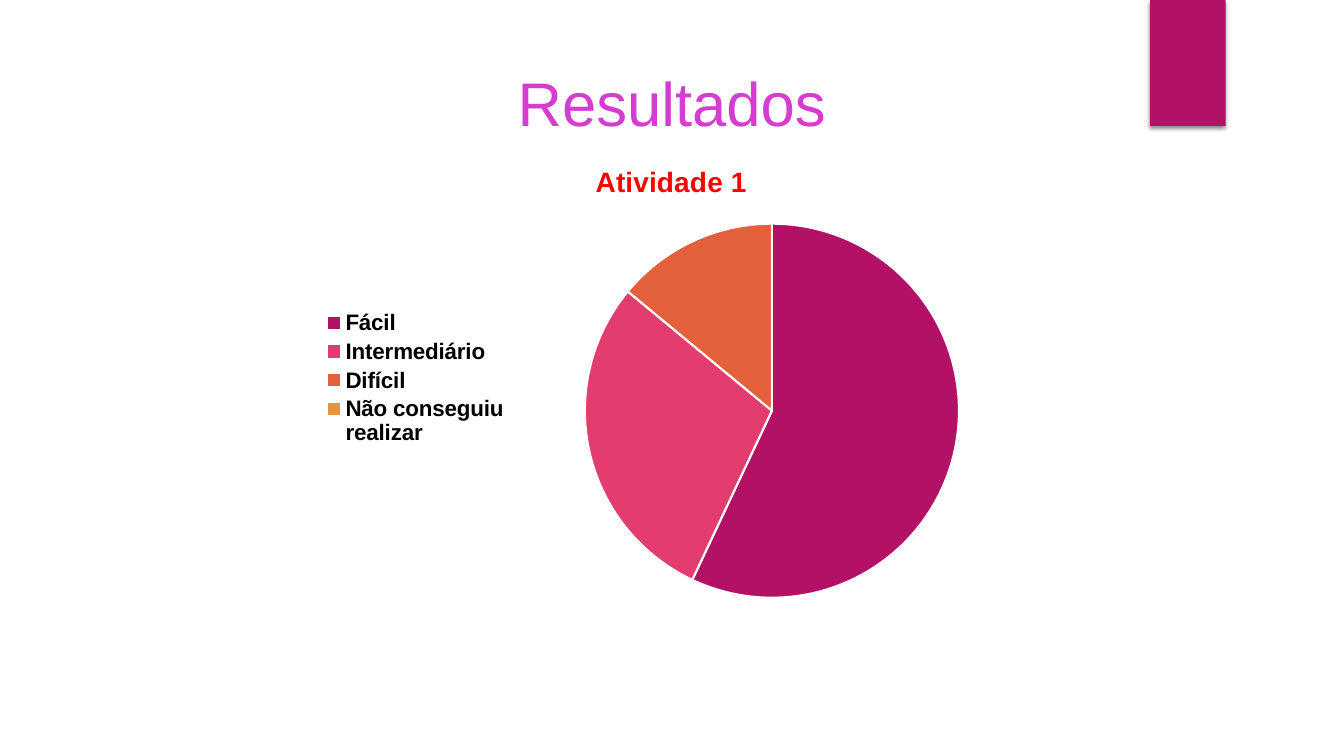
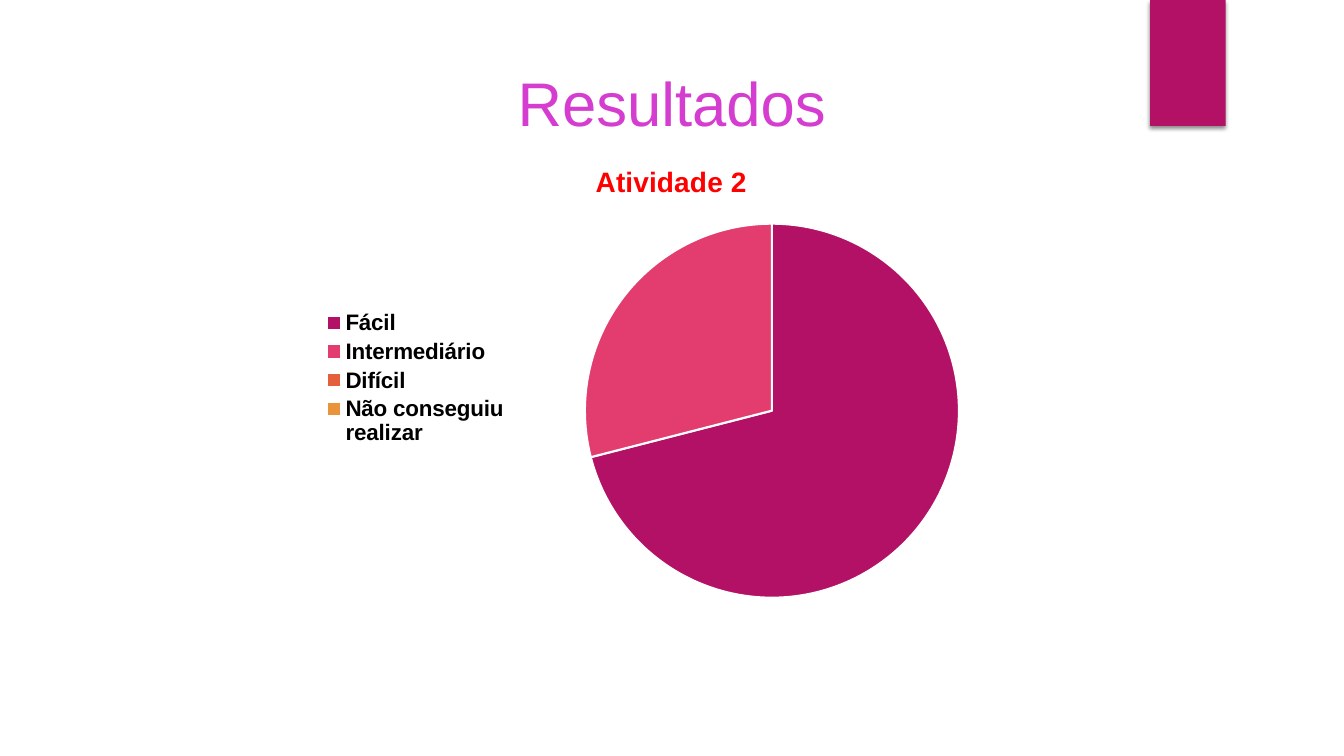
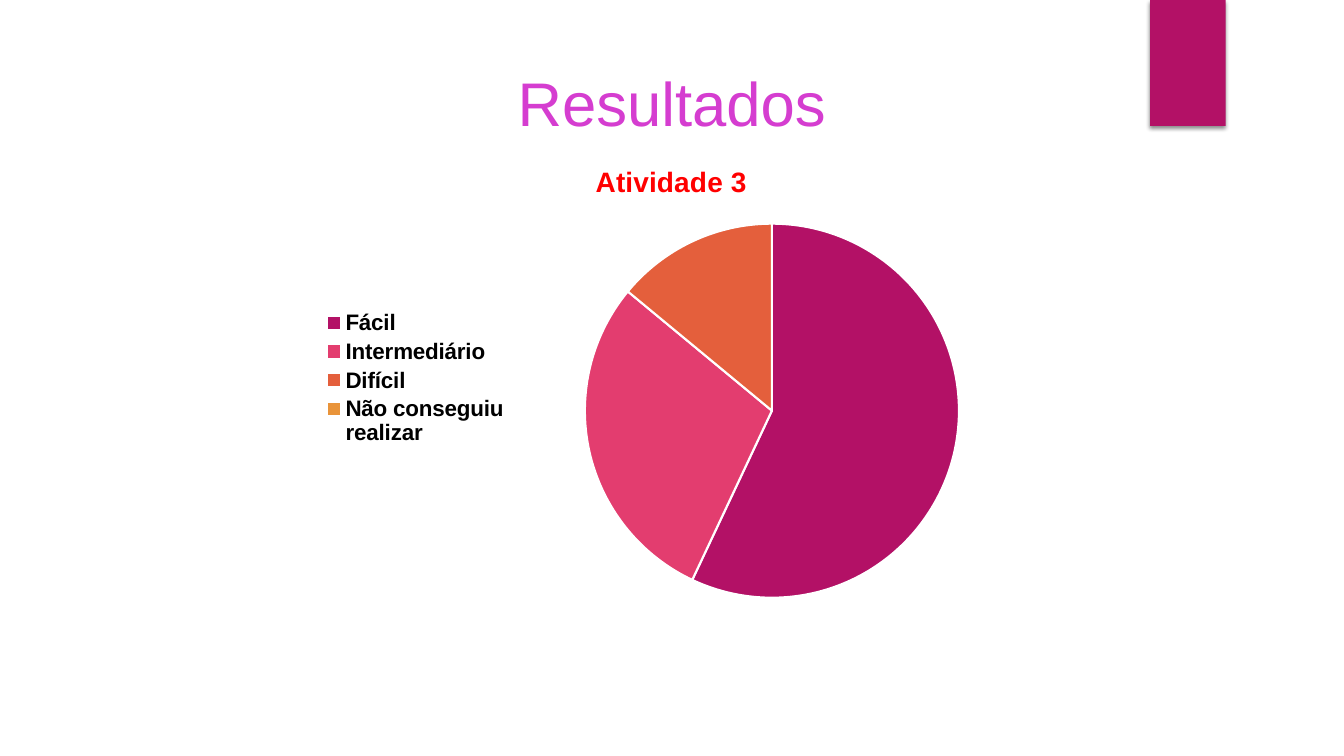
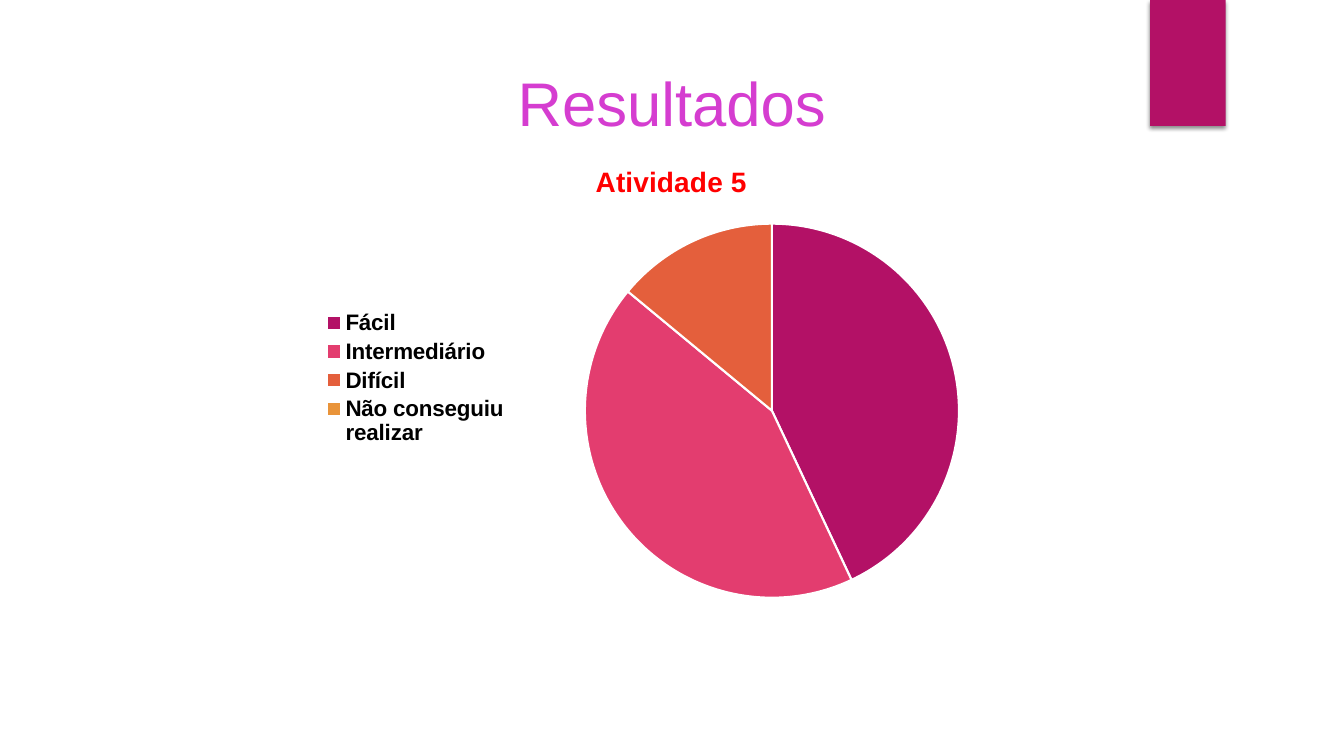
"""Builds four result slides, each with a pie chart."""
from lxml import etree
from pptx import Presentation
from pptx.chart.data import CategoryChartData
from pptx.dml.color import RGBColor
from pptx.enum.chart import XL_CHART_TYPE, XL_LEGEND_POSITION
from pptx.enum.shapes import MSO_SHAPE
from pptx.enum.text import MSO_ANCHOR, PP_ALIGN
from pptx.oxml import parse_xml
from pptx.oxml.ns import qn
from pptx.util import Pt

PIE, LEFT = XL_CHART_TYPE.PIE, XL_LEGEND_POSITION.LEFT
RECT, BOTTOM, CENTER = MSO_SHAPE.RECTANGLE, MSO_ANCHOR.BOTTOM, PP_ALIGN.CENTER

PLUM = RGBColor(0xB3, 0x11, 0x66)
ROSE = RGBColor(0xE3, 0x3D, 0x6F)
RUST = RGBColor(0xE4, 0x5F, 0x3C)
AMBER = RGBColor(0xE9, 0x94, 0x3A)
ORCHID = RGBColor(0xD5, 0x3D, 0xD0)
RED = RGBColor(0xFF, 0x00, 0x00)
BLACK = RGBColor(0x00, 0x00, 0x00)
WHITE = RGBColor(0xFF, 0xFF, 0xFF)

HEAD = {"name": "Arial", "size": Pt(44), "color": ORCHID}
TITLE = {"name": "Arial", "size": Pt(20), "bold": True, "color": RED}
KEY = {"name": "Arial", "size": Pt(16), "bold": True, "color": BLACK}
BASE = {"name": "TeX Gyre Adventor", "size": Pt(10), "color": BLACK}

TAB_BOX = (821.5, 0, 54, 90)
HEAD_BOX = (141, 42.5, 678, 60.5)
PIE_BOX = (222.5, 103, 514, 334)
PLOT = {"x": 0.38, "y": 0.17, "w": 0.52, "h": 0.8}

LEVELS = {
    "Fácil": PLUM,
    "Intermediário": ROSE,
    "Difícil": RUST,
    "Não conseguiu realizar": AMBER,
}
RESULTS = [
    ("Atividade 1", (57, 29, 14, 0)),
    ("Atividade 2", (71, 29, 0, 0)),
    ("Atividade 3", (57, 29, 14, 0)),
    ("Atividade 5", (43, 43, 14, 0)),
]
SHADOW = (
    '<a:outerShdw xmlns:a="http://schemas.openxmlformats.org/drawingml/2006/main"'
    ' blurRad="38100" dist="25400" dir="5400000" rotWithShape="0">'
    '<a:srgbClr val="000000"><a:alpha val="45000"/></a:srgbClr></a:outerShdw>'
)


def style(font, form):
    """Set the font attributes given in a dict."""
    for key, val in form.items():
        if key == "color":
            font.color.rgb = val
        else:
            setattr(font, key, val)


def place(box):
    """Turn a box in points into lengths."""
    return [Pt(val) for val in box]


def add_tab(slide, box):
    """Draw the shadowed tab at the top edge."""
    tab = slide.shapes.add_shape(RECT, *place(box))
    tab.fill.solid()
    tab.fill.fore_color.rgb = PLUM
    tab.line.fill.background()
    tab.shadow.inherit = False
    tab.element.spPr.find(qn("a:effectLst")).append(parse_xml(SHADOW))


def add_head(slide, box, text):
    """Write the slide heading."""
    frame = slide.shapes.add_textbox(*place(box)).text_frame
    frame.word_wrap = True
    frame.vertical_anchor = BOTTOM
    par = frame.paragraphs[0]
    par.alignment = CENTER
    run = par.add_run()
    run.text = text
    style(run.font, HEAD)


def set_plot(chart, plot):
    """Fix the inner plot area as shares of the chart."""
    area = chart.element.find(".//" + qn("c:plotArea"))
    old = area.find(qn("c:layout"))
    if old is not None:
        area.remove(old)
    layout = etree.Element(qn("c:layout"))
    area.insert(0, layout)
    manual = etree.SubElement(layout, qn("c:manualLayout"))
    rules = {"layoutTarget": "inner", "xMode": "edge", "yMode": "edge", **plot}
    for key, val in rules.items():
        etree.SubElement(manual, qn("c:" + key)).set("val", str(val))


def add_pie(slide, box, name, vals):
    """Draw the pie chart with its title and legend."""
    data = CategoryChartData()
    data.categories = list(LEVELS)
    data.add_series(name, vals)
    chart = slide.shapes.add_chart(PIE, *place(box), data).chart
    style(chart.font, BASE)
    chart.has_title = True
    chart.chart_title.include_in_layout = False
    run = chart.chart_title.text_frame.paragraphs[0].add_run()
    run.text = name
    style(run.font, TITLE)
    chart.has_legend = True
    chart.legend.position = LEFT
    chart.legend.include_in_layout = False
    style(chart.legend.font, KEY)
    plot = chart.plots[0]
    plot.vary_by_categories = True
    for num, color in enumerate(LEVELS.values()):
        form = plot.series[0].points[num].format
        form.fill.solid()
        form.fill.fore_color.rgb = color
        form.line.color.rgb = WHITE
        form.line.width = Pt(1.5)
    set_plot(chart, PLOT)


def main():
    """Build and save the deck."""
    deck = Presentation()
    deck.slide_width, deck.slide_height = Pt(960), Pt(540)
    for name, vals in RESULTS:
        slide = deck.slides.add_slide(deck.slide_layouts[6])
        add_tab(slide, TAB_BOX)
        add_head(slide, HEAD_BOX, "Resultados")
        add_pie(slide, PIE_BOX, name, vals)
    deck.save("out.pptx")


if __name__ == "__main__":
    main()
